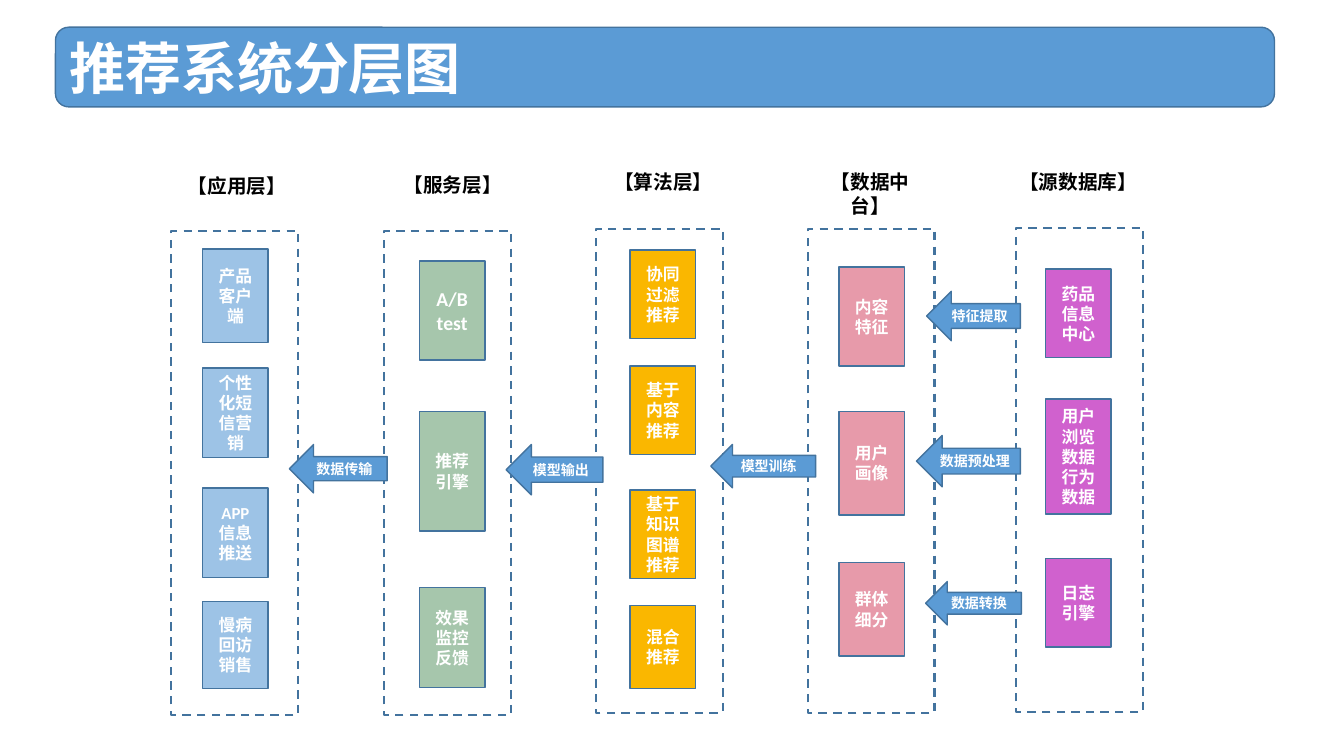
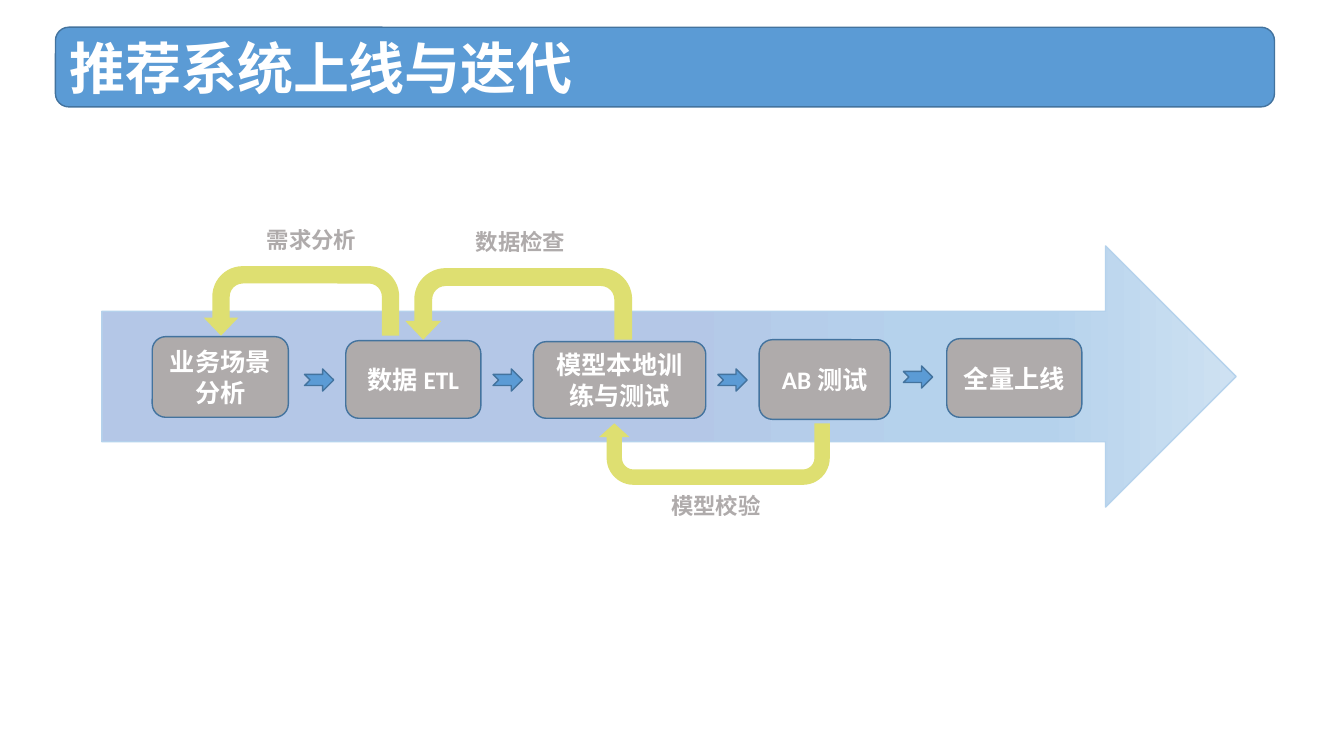
from lxml.etree import SubElement
from pptx import Presentation
from pptx.dml.color import RGBColor
from pptx.enum.dml import MSO_LINE
from pptx.enum.shapes import MSO_SHAPE
from pptx.enum.text import MSO_AUTO_SIZE, PP_ALIGN
from pptx.oxml.ns import qn
from pptx.util import Inches, Pt

FONT = "Calibri"
WHITE, BLACK, GREY = "FFFFFF", "000000", "AFABAB"
BLUE, OUTLINE, LIME = "5B9BD5", "43739E", "DEDF71"


def write(shape, text, size, color=WHITE, align=PP_ALIGN.CENTER):
    frame = shape.text_frame
    frame.word_wrap = True
    frame.text = text
    for paragraph in frame.paragraphs:
        paragraph.alignment = align
        for run in paragraph.runs:
            run.font.name = FONT
            run.font.size = Pt(size)
            run.font.bold = True
            run.font.color.rgb = RGBColor.from_string(color)


def add_block(slide, preset, box, fill=None, line=OUTLINE, weight=1):
    """Add a preset shape at box (left, top, width, height in inches)."""
    block = slide.shapes.add_shape(preset, *map(Inches, box))
    block.shadow.inherit = False
    if fill:
        block.fill.solid()
        block.fill.fore_color.rgb = RGBColor.from_string(fill)
    else:
        block.fill.background()
    if line:
        block.line.color.rgb = RGBColor.from_string(line)
        block.line.width = Pt(weight)
    else:
        block.line.fill.background()
    return block


prs = Presentation()
prs.slide_width, prs.slide_height = Inches(13.33), Inches(7.5)

slides = []
for title in ("推荐系统分层图", "推荐系统上线与迭代"):
    slide = prs.slides.add_slide(prs.slide_layouts[6])
    banner = add_block(slide, MSO_SHAPE.ROUNDED_RECTANGLE, (0.55, 0.27, 12.09, 0.79), BLUE)
    write(banner, title, 40, align=PP_ALIGN.LEFT)
    slides.append(slide)
layer_slide, rollout_slide = slides

# Layers: frame left and top, heading with its box, colour, module left,
# modules as (top, height, text, size)
layers = [
    (1.7, 2.29, "【应用层】", (1.75, 1.68, 1.2), "9DC3E6", 2.01, [
        (2.47, 0.93, "产品客户\n端", 12),
        (3.65, 0.89, "个性化短信营销", 12),
        (4.84, 0.89, "APP\n信息推送", 12),
        (5.97, 0.86, "慢病回访销售", 12)]),
    (3.81, 2.29, "【服务层】", (3.89, 1.67, 1.2), "A6C6AC", 4.16, [
        (2.59, 0.98, "A/B\ntest", 14),
        (4.08, 1.19, "推荐引擎", 12),
        (5.83, 0.99, "效果监控\n反馈", 12)]),
    (5.91, 2.27, "【算法层】", (5.98, 1.64, 1.2), "FAB700", 6.25, [
        (2.48, 0.88, "协同过滤推荐", 12),
        (3.63, 0.88, "基于内容推荐", 12),
        (4.86, 0.88, "基于知识图谱推荐", 12),
        (6.01, 0.82, "混合推荐", 12)]),
    (8.01, 2.27, "【数据中台】", (8.03, 1.64, 1.2), "E79AAA", 8.32, [
        (2.65, 0.98, "内容特征", 12),
        (4.08, 1.03, "用户画像", 12),
        (5.58, 0.93, "群体细分", 12)]),
    (10.08, 2.26, "【源数据库】", (9.98, 1.64, 1.43), "D061CE", 10.37, [
        (2.67, 0.88, "药品信息中心", 12),
        (3.96, 1.14, "用户浏览数据行为数据", 12),
        (5.54, 0.88, "日志引擎", 12)]),
]
for left, top, heading, heading_box, color, module_left, modules in layers:
    frame = add_block(layer_slide, MSO_SHAPE.RECTANGLE, (left, top, 1.26, 4.8), weight=1.5)
    frame.line.dash_style = MSO_LINE.DASH
    label = layer_slide.shapes.add_textbox(*map(Inches, (*heading_box, 0.34)))
    write(label, heading, 14, BLACK)
    label.text_frame.auto_size = MSO_AUTO_SIZE.SHAPE_TO_FIT_TEXT
    for module_top, height, text, size in modules:
        module = add_block(layer_slide, MSO_SHAPE.RECTANGLE,
                           (module_left, module_top, 0.65, height), color)
        write(module, text, size)

flows = [
    ("数据传输", (2.87, 4.41, 0.97, 0.48)),
    ("模型输出", (5.02, 4.41, 0.96, 0.5)),
    ("模型训练", (7.05, 4.41, 1.04, 0.43)),
    ("特征提取", (9.19, 2.89, 0.93, 0.49)),
    ("数据预处理", (9.09, 4.32, 1.03, 0.51)),
    ("数据转换", (9.18, 5.77, 0.95, 0.43)),
]
for text, box in flows:
    write(add_block(layer_slide, MSO_SHAPE.LEFT_ARROW, box, BLUE), text, 10)

# Rollout: gradient arrow behind the steps
timeline = add_block(rollout_slide, MSO_SHAPE.RIGHT_ARROW, (1.01, 2.44, 11.25, 2.59), line="B5D2EC")
timeline.fill.gradient()
timeline.fill.gradient_angle = 0
stops = timeline.element.spPr.find(qn("a:gradFill")).find(qn("a:gsLst"))
stops.clear()
for percent, color in ((49, "B4C7E7"), (74, "B5D2EC"), (83, "B5D2EC"), (100, "CEE1F2")):
    stop = SubElement(stops, qn("a:gs"), pos=str(percent * 1000))
    SubElement(stop, qn("a:srgbClr"), val=color)

steps = [
    ("业务场景分析", (1.51, 3.34, 1.35, 0.8)),
    ("数据 ETL", (3.43, 3.38, 1.34, 0.77)),
    ("模型本地训练与测试", (5.29, 3.39, 1.71, 0.76)),
    ("AB 测试", (7.53, 3.37, 1.3, 0.79)),
    ("全量上线", (9.39, 3.36, 1.34, 0.78)),
]
for text, box in steps:
    write(add_block(rollout_slide, MSO_SHAPE.ROUNDED_RECTANGLE, box, GREY), text, 18)

for left, top in ((3.02, 3.66), (4.89, 3.66), (7.12, 3.66), (8.96, 3.63)):
    add_block(rollout_slide, MSO_SHAPE.NOTCHED_RIGHT_ARROW, (left, top, 0.29, 0.22), BLUE)

# Feedback loops: label, label position, arrow box, bend, whether it runs below
feedback = [
    ("模型校验", (6.56, 4.83), (5.94, 4.2, 2.29, 0.61), 0.225, True),
    ("数据检查", (4.62, 2.21), (4.02, 2.66, 2.25, 0.71), 0.261, False),
    ("需求分析", (2.55, 2.19), (2.02, 2.64, 1.94, 0.69), 0.261, False),
]
for text, label_at, box, bend, below in feedback:
    loop = add_block(rollout_slide, MSO_SHAPE.U_TURN_ARROW, box, LIME, line=None)
    for index, value in enumerate((0.25, 0.25, bend, 0.438, 1)):
        loop.adjustments[index] = value
    if below:
        loop.rotation = 180
    else:
        loop.element.spPr.find(qn("a:xfrm")).set("flipH", "1")
    label = rollout_slide.shapes.add_textbox(*map(Inches, (*label_at, 1.24, 0.37)))
    write(label, text, 16, GREY, PP_ALIGN.LEFT)
    label.text_frame.auto_size = MSO_AUTO_SIZE.SHAPE_TO_FIT_TEXT

prs.save("out.pptx")
